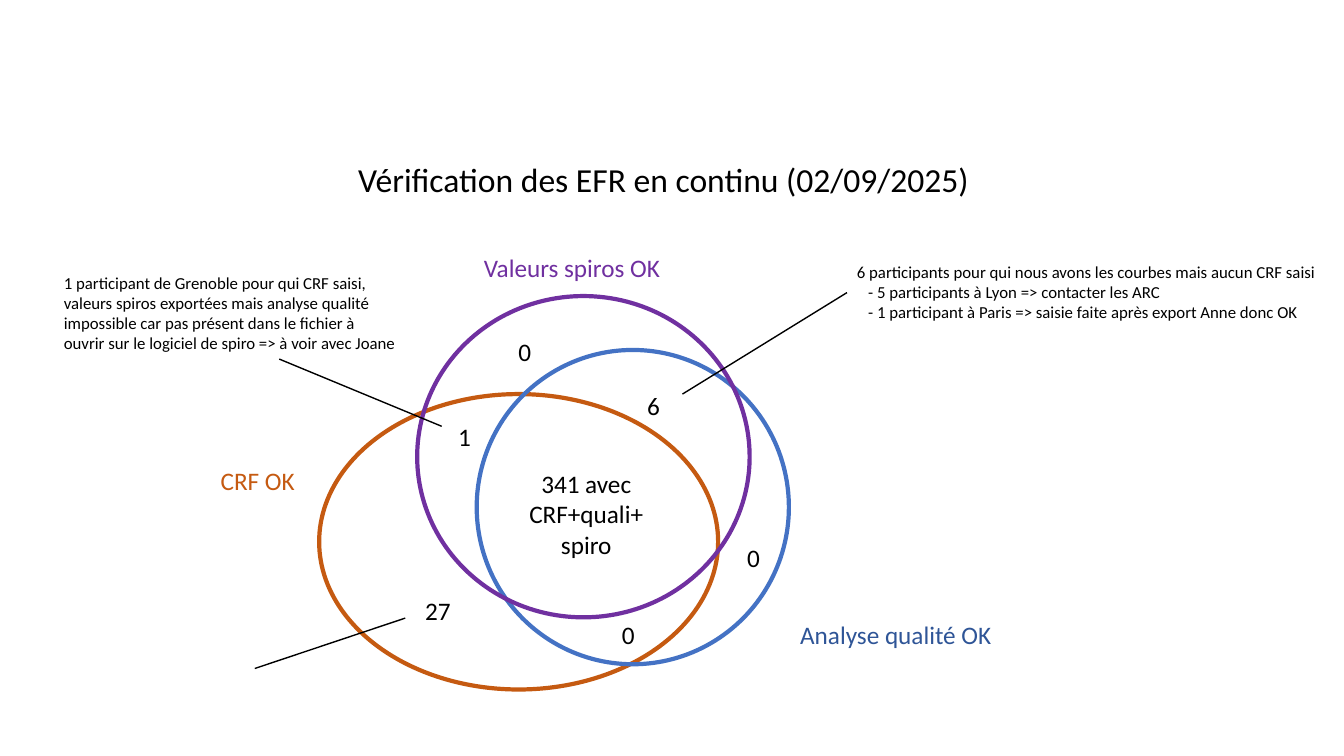
import pptx
import pptx.util
import pptx.dml.color
import pptx.enum.shapes
import pptx.enum.text
from lxml import etree

Pt = pptx.util.Pt
ALIGN = pptx.enum.text.PP_ALIGN
BLACK, ORANGE, BLUE, NAVY, PURPLE = "000000", "C55A11", "4472C4", "2F5597", "7030A0"


def color(hex_value):
    return pptx.dml.color.RGBColor.from_string(hex_value)


def write(shape, lines, size=18, ink=BLACK, align=ALIGN.LEFT, wrap=True, spacing=None, indent=0):
    frame = shape.text_frame
    frame.word_wrap = wrap
    frame.auto_size = pptx.enum.text.MSO_AUTO_SIZE.NONE
    frame.vertical_anchor = pptx.enum.text.MSO_ANCHOR.TOP
    for index, line in enumerate(lines):
        paragraph = frame.add_paragraph() if index else frame.paragraphs[0]
        paragraph.alignment = align
        if spacing:
            paragraph.line_spacing = spacing
        if index and indent:
            paragraph._p.get_or_add_pPr().set("marL", str(Pt(indent)))
        run = paragraph.add_run()
        run.text = line
        run.font.name = "Calibri"
        run.font.size = Pt(size)
        run.font.color.rgb = color(ink)


def add_text(slide, left, top, width, height, *lines, **style):
    textbox = slide.shapes.add_textbox(Pt(left), Pt(top), Pt(width), Pt(height))
    write(textbox, lines, **style)
    return textbox


def add_pointer(slide, start, end):
    pointer = slide.shapes.add_connector(
        pptx.enum.shapes.MSO_CONNECTOR.STRAIGHT, *(Pt(value) for value in start + end))
    pointer.line.color.rgb = color(BLACK)
    pointer.line.width = Pt(1)
    etree.SubElement(pointer._element.spPr, pptx.oxml.ns.qn("a:effectLst"))
    return pointer


def add_heading(slide, left, top, width, height):
    heading = slide.shapes.title
    heading.left, heading.top = Pt(left), Pt(top)
    heading.width, heading.height = Pt(width), Pt(height)
    write(heading, ["Vérification des EFR en continu (02/09/2025)"],
          size=24, align=ALIGN.CENTER, spacing=0.9)


def add_venn(slide, left, top):
    circles = [
        (78, 105.5, 285, 211, ORANGE),
        (190.5, 74, 223, 224.5, BLUE),
        (148, 35.5, 237.5, 229.5, PURPLE),
    ]
    for x, y, width, height, outline in circles:
        circle = slide.shapes.add_shape(
            pptx.enum.shapes.MSO_SHAPE.OVAL, Pt(left + x), Pt(top + y), Pt(width), Pt(height))
        circle.shadow.inherit = False
        circle.fill.background()
        circle.line.color.rgb = color(outline)
        circle.line.width = Pt(3)

    set_names = [
        ("Valeurs spiros OK", 188.5, 0.5, 142, PURPLE),
        ("Analyse qualité OK", 414.5, 263, 152.5, NAVY),
        ("CRF OK", 0.5, 152.5, 68.5, ORANGE),
    ]
    for name, x, y, width, ink in set_names:
        add_text(slide, left + x, top + y, width, 29, name, ink=ink, wrap=False)

    counts = [
        ("341 avec CRF+quali+spiro", 218, 155, 72.5),
        ("1", 131, 121.5, 29),
        ("27", 112, 246, 29),
        ("0", 248, 263, 29),
        ("0", 337.5, 207.5, 29),
        ("6", 266, 99, 29),
        ("0", 174, 61, 29),
    ]
    for count, x, y, height in counts:
        add_text(slide, left + x, top + y, 101.5, height, count, align=ALIGN.CENTER)


def add_missing_crf_note(slide, left, top):
    note = add_text(
        slide, left, top, 342.5, 51,
        "6 participants pour qui nous avons les courbes mais aucun CRF saisi",
        "- 5 participants à Lyon => contacter les ARC",
        "- 1 participant à Paris => saisie faite après export Anne donc OK",
        size=12, wrap=False, indent=8)
    pointer = add_pointer(slide, (left - 117.5, top + 98), (left, top + 25.5))
    pointer.end_connect(note, 1)


def add_missing_quality_note(slide, left, top):
    add_text(
        slide, left, top, 254, 65.5,
        "1 participant de Grenoble pour qui CRF saisi, valeurs spiros exportées mais "
        "analyse qualité impossible car pas présent dans le fichier à ouvrir sur le "
        "logiciel de spiro => à voir avec Joane", size=12)
    add_pointer(slide, (left + 277, top + 113.5), (left + 161, top + 65.5))


def main():
    deck = pptx.Presentation()
    deck.slide_width, deck.slide_height = Pt(960), Pt(540)
    slide = deck.slides.add_slide(deck.slide_layouts[5])
    add_heading(slide, 61, 113, 826, 268.5)
    add_venn(slide, 150, 176)
    add_missing_crf_note(slide, 605, 183.5)
    add_missing_quality_note(slide, 38.5, 191)
    add_pointer(slide, (289.5, 441.5), (182, 477.5))
    deck.save("out.pptx")


if __name__ == "__main__":
    main()
